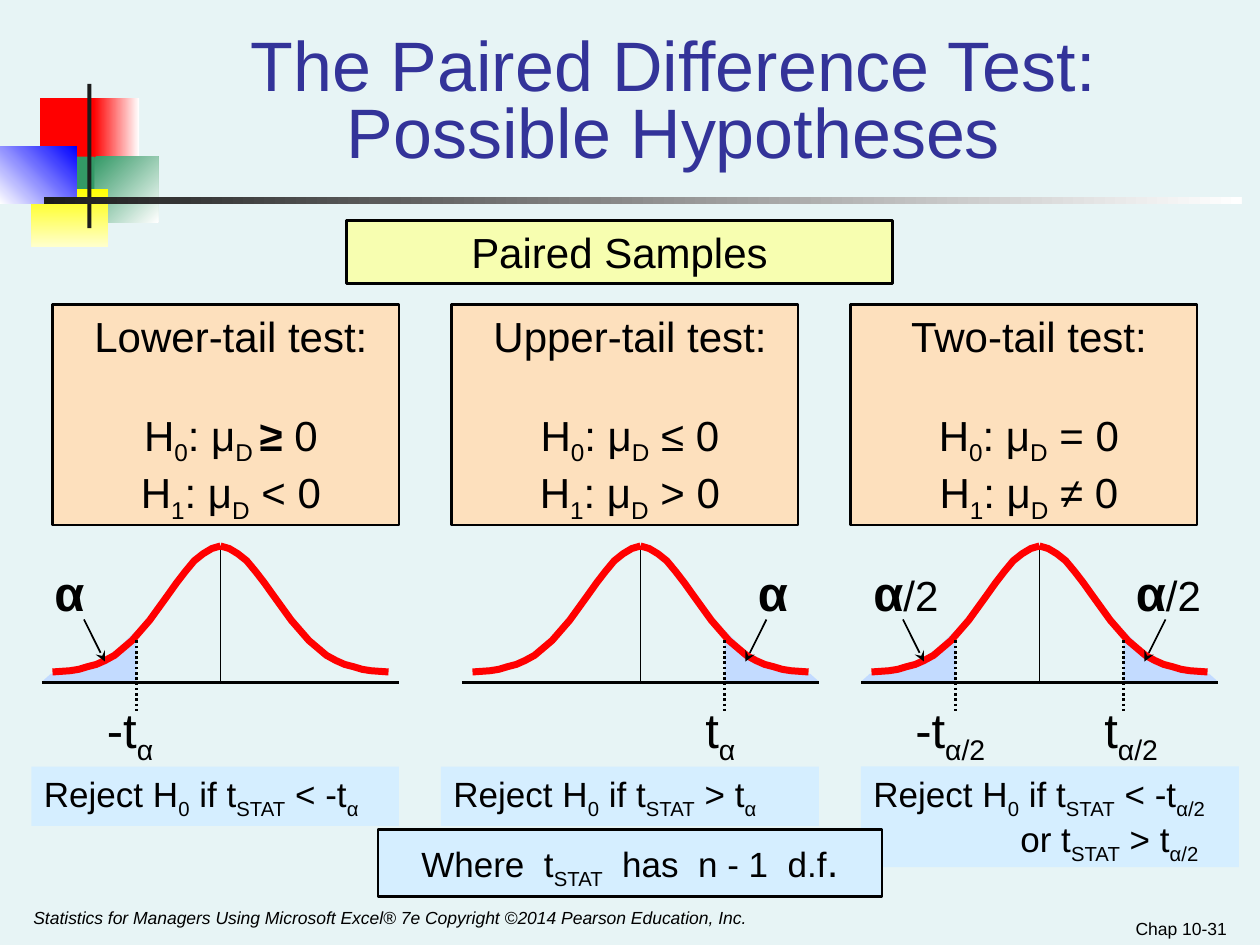
from dataclasses import dataclass
from typing import NamedTuple

from lxml import etree
from pptx import Presentation
from pptx.dml.color import RGBColor
from pptx.enum import dml, shapes as kinds, text as txt
from pptx.oxml.ns import qn
from pptx.util import Pt

MID, LEFT, RIGHT = txt.PP_ALIGN.CENTER, txt.PP_ALIGN.LEFT, txt.PP_ALIGN.RIGHT
TOP, BASE = txt.MSO_ANCHOR.TOP, txt.MSO_ANCHOR.BOTTOM


@dataclass(frozen=True)
class Theme:
    font: str = "Arial"
    back: str = "E7F4F5"
    ink: str = "000000"
    dark: str = "1C1C1C"
    title: str = "333399"
    card: str = "FDE0BD"
    head: str = "F7FEB0"
    rule: str = "D5EEFF"
    tail: str = "C3DBFF"
    curve: str = "FF0000"
    huge: int = 40
    big: int = 28
    body: int = 24
    note: int = 20
    small: int = 10


class Box(NamedTuple):
    x: float
    y: float
    w: float
    h: float


class Block(NamedTuple):
    """A decorative rectangle; an empty end colour means a solid fill."""
    box: Box
    start: str
    end: str = ""
    angle: int = 0


class Tail(NamedTuple):
    """A rejection region; side is -1 (left) or 1 (right), dx counts from the mean."""
    side: int
    alpha: str
    alpha_dx: float
    crit: str
    crit_dx: float


class Test(NamedTuple):
    name: str
    null: str
    other: str
    mean: float
    tails: list[Tail]
    rule: Box
    reject: list[str]


T = Theme()
PEAK, AXIS, REACH, CUT = 312, 390, 102, 48
CURVE = [(96, 72), (86, 71.3), (81, 70.5), (76, 69), (71, 67.7), (66, 65.5),
         (60.5, 62.5), (50.5, 54), (40.5, 42.5), (30, 28), (25, 21), (20, 14.5),
         (15, 8.5), (10, 4.5), (5, 1.5), (0, 0)]
REGION = [(REACH, 77.5), (97, 73), (79, 69.5), (69.5, 66), (59, 59), (CUT, 48), (CUT, 77.5)]

BLOCKS = [
    Block(Box(23, 56, 34.5, 37.5), "FF0000"),
    Block(Box(53.5, 56, 26, 37.5), "FF0000", "FFFFFF"),
    Block(Box(54, 89.5, 36.5, 37.5), "339966", "FFFFFF", 45),
    Block(Box(31, 89.5, 23, 37.5), "339966"),
    Block(Box(18, 108, 44, 33), "FFFF00", "FFFFCC", 90),
    Block(Box(0, 83.5, 44, 33), "FFFFFF", "0000FF", 315),
    Block(Box(50, 48, 2.2, 82.5), T.dark),
    Block(Box(25, 112.5, 684.5, 4), T.dark, "FFFFFF"),
]
TESTS = [
    Test("Lower-tail test:", "H|0|: μ|D |*≥* 0", "H|1|: μ|D| < 0", 126,
         [Tail(-1, "*α*", -102, "-t|α|", -72)],
         Box(18, 438, 210, 34), ["Reject H|0| if t|STAT| < -t|α|"]),
    Test("Upper-tail test:", "H|0|: μ|D| ≤ 0", "H|1|: μ|D| > 0", 366,
         [Tail(1, "*α*", 60, "t|α|", 30)],
         Box(252, 438, 216, 34), ["Reject H|0| if t|STAT| > t|α|"]),
    Test("Two-tail test:", "H|0|: μ|D| = 0", "H|1|: μ|D| ≠ 0", 594,
         [Tail(-1, "*α*/2", -102, "-t|α/2|", -78), Tail(1, "*α*/2", 48, "t|α/2|", 30)],
         Box(492, 438, 216, 57.5),
         ["Reject H|0| if t|STAT| < -t|α/2|", "or t|STAT| > t|α/2|"]),
]


def rgb(code: str) -> RGBColor:
    return RGBColor.from_string(code)


def write(shape, lines: list[str], size: int, align=LEFT, color: str = T.ink, anchor=TOP) -> list:
    """Fill a shape with lines, where |x| is a subscript and *x* is bold."""
    frame = shape.text_frame
    frame.word_wrap, frame.vertical_anchor = True, anchor
    paras = [frame.paragraphs[0]] + [frame.add_paragraph() for _ in lines[1:]]
    for para, line in zip(paras, lines):
        para.alignment = align
        for i, part in enumerate(line.split("|")):
            for j, bit in enumerate(part.split("*")):
                if not bit:
                    continue
                run = para.add_run()
                run.text = bit
                font = run.font
                font.name, font.size, font.bold = T.font, Pt(size), j % 2 == 1
                font.color.rgb = rgb(color)
                if i % 2:
                    run._r.get_or_add_rPr().set("baseline", "-25000")
    return paras


def label(slide, box: Box, line: str, size: int, **style):
    return write(slide.shapes.add_textbox(*map(Pt, box)), [line], size, **style)[0]


def rect(slide, box: Box, fill: str = "", edge: bool = False):
    shape = slide.shapes.add_shape(kinds.MSO_SHAPE.RECTANGLE, *map(Pt, box))
    shape.shadow.inherit = False
    if fill:
        shape.fill.solid()
        shape.fill.fore_color.rgb = rgb(fill)
    if edge:
        shape.line.color.rgb, shape.line.width = rgb(T.ink), Pt(1.5)
    else:
        shape.line.fill.background()
    return shape


def block(slide, item: Block) -> None:
    if not item.end:
        rect(slide, item.box, item.start)
        return
    fill = rect(slide, item.box).fill
    fill.gradient()
    fill.gradient_angle = -item.angle % 360
    for stop, code in zip(fill.gradient_stops, (item.start, item.end)):
        stop.color.rgb = rgb(code)


def line(slide, x1: float, y1: float, x2: float, y2: float, width: float,
         dots: bool = False, arrow: bool = False) -> None:
    link = slide.shapes.add_connector(kinds.MSO_CONNECTOR.STRAIGHT, *map(Pt, (x1, y1, x2, y2)))
    link.line.color.rgb, link.line.width = rgb(T.ink), Pt(width)
    if dots:
        link.line.dash_style = dml.MSO_LINE.ROUND_DOT
    if arrow:
        etree.SubElement(link.line._get_or_add_ln(), qn("a:tailEnd"), type="stealth")
    etree.SubElement(link._element.spPr, qn("a:effectLst"))


def trace(slide, mean: float, side: int, points: list, closed: bool):
    """Draw offsets from the peak, mirrored to one side of the mean."""
    path = [(Pt(mean + side * dx), Pt(PEAK + dy)) for dx, dy in points]
    pen = slide.shapes.build_freeform(*path[0], scale=1.0)
    pen.add_line_segments(path[1:], close=closed)
    shape = pen.convert_to_shape()
    shape.shadow.inherit = False
    return shape


def plot(slide, test: Test) -> None:
    mean = test.mean
    line(slide, mean, PEAK, mean, AXIS, 0.75)
    for tail in test.tails:
        area = trace(slide, mean, tail.side, REGION, True)
        area.fill.solid()
        area.fill.fore_color.rgb = rgb(T.tail)
        area.line.fill.background()
    for side in (-1, 1):
        half = trace(slide, mean, side, CURVE, False)
        half.fill.background()
        half.line.color.rgb, half.line.width = rgb(T.curve), Pt(4)
    line(slide, mean - REACH, AXIS, mean + REACH, AXIS, 2)
    for tail in test.tails:
        wide = "/" in tail.alpha
        para = label(slide, Box(mean + tail.alpha_dx, 318, 66 if wide else 30, 40),
                     tail.alpha, T.big)
        if wide:
            para.runs[-1].font.size = Pt(T.body)
        label(slide, Box(mean + tail.crit_dx, 396, 78, 45), tail.crit, T.big)
        far = 78 if tail.side < 0 else 72
        line(slide, mean + tail.side * far, 354, mean + tail.side * (far - 12), 378, 1, arrow=True)
        cut = mean + tail.side * CUT
        line(slide, cut, 366, cut, 408, 1.5, dots=True)


def card(slide, test: Test, x: float) -> None:
    shape = rect(slide, Box(x, 174, 198, 126), T.card, True)
    shape.text_frame.margin_left = Pt(13)
    paras = write(shape, [test.name, test.null, test.other], T.body, MID)
    paras[1].space_before = Pt(27.5)


def reject(slide, test: Test) -> None:
    paras = write(rect(slide, test.rule, T.rule), test.reject, T.note)
    for para in paras[1:]:
        para._p.get_or_add_pPr().set("marL", str(Pt(84)))
        para.line_spacing = 0.85


def main() -> None:
    deck = Presentation()
    deck.slide_width, deck.slide_height = Pt(720), Pt(540)
    slide = deck.slides.add_slide(deck.slide_layouts[6])
    slide.background.fill.solid()
    slide.background.fill.fore_color.rgb = rgb(T.back)
    for item in BLOCKS:
        block(slide, item)
    title = label(slide, Box(78, 18, 613.5, 84), "The Paired Difference Test: Possible Hypotheses",
                  T.huge, align=MID, color=T.title, anchor=BASE)
    title.line_spacing = 0.8
    write(rect(slide, Box(198, 126, 312, 36), T.head, True), ["Paired Samples"], T.body, MID)
    for i, test in enumerate(TESTS):
        card(slide, test, 30 + 228 * i)
        plot(slide, test)
        reject(slide, test)
    where = write(rect(slide, Box(216, 474, 288, 38.5), T.rule, True),
                  ["Where  t|STAT|  has  n - 1  d.f**."], T.note, MID)[0]
    where.runs[-1].font.size = Pt(T.body)
    label(slide, Box(540, 515, 168, 25), "Chap 10-31", T.small, align=RIGHT, anchor=BASE)
    foot = label(slide, Box(12, 515, 444, 25), "Statistics for Managers Using Microsoft Excel® 7e "
                 "Copyright ©2014 Pearson Education, Inc.", T.small)
    foot.runs[0].font.italic = True
    deck.save("out.pptx")


if __name__ == "__main__":
    main()
